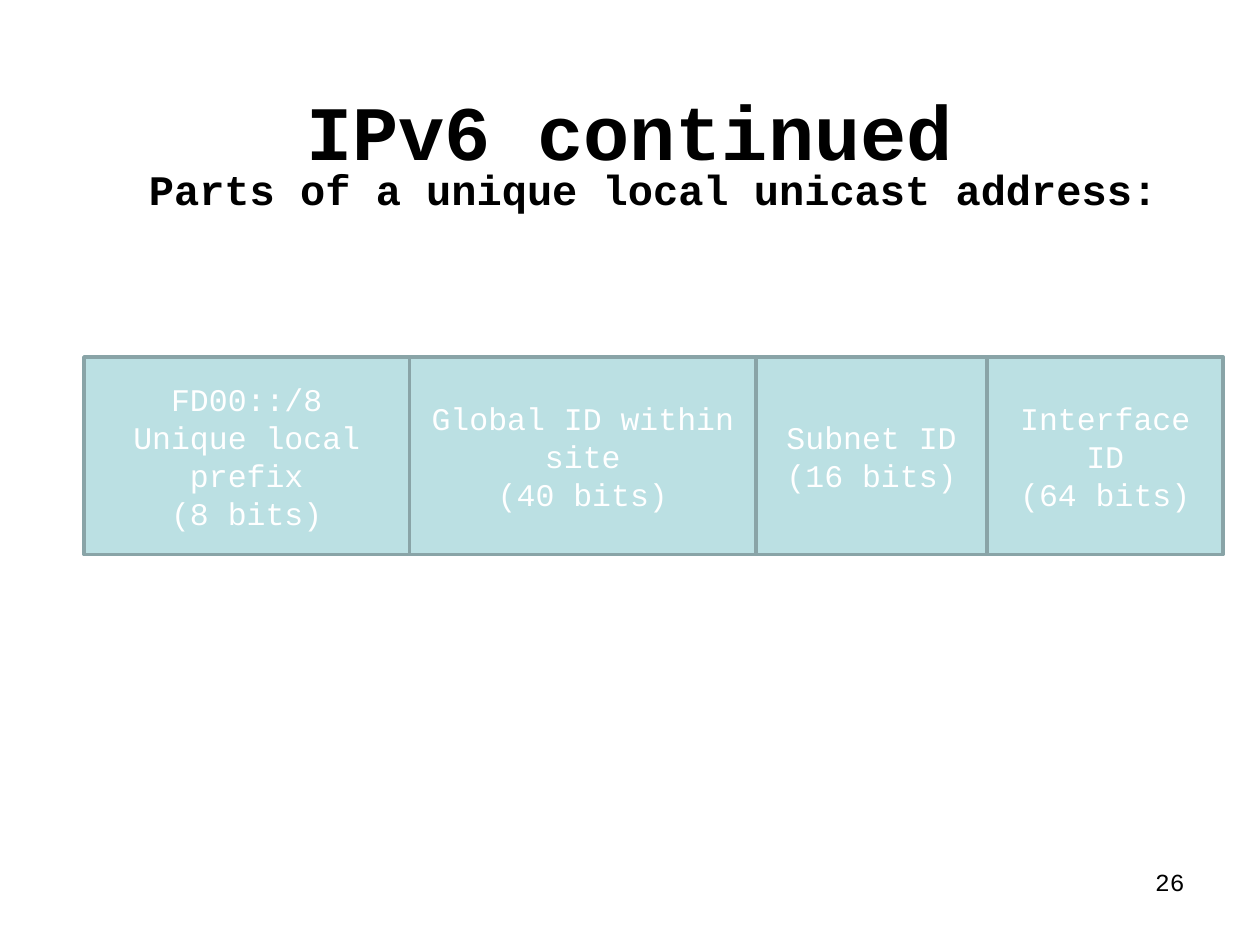
from dataclasses import dataclass

from pptx import Presentation
from pptx.dml.color import RGBColor
from pptx.enum.shapes import MSO_SHAPE
from pptx.enum.text import MSO_ANCHOR, PP_ALIGN
from pptx.util import Inches, Pt

RECTANGLE = MSO_SHAPE.RECTANGLE
MIDDLE, TOP = MSO_ANCHOR.MIDDLE, MSO_ANCHOR.TOP
LEFT, CENTER, RIGHT = PP_ALIGN.LEFT, PP_ALIGN.CENTER, PP_ALIGN.RIGHT
COLUMNS, ROWS = 120, 90  # grid cells of 1/12 inch


@dataclass(frozen=True)
class Theme:
    font: str = "Courier New"
    ink: RGBColor = RGBColor(0x00, 0x00, 0x00)
    field_text: RGBColor = RGBColor(0xFF, 0xFF, 0xFF)
    field_fill: RGBColor = RGBColor(0xBB, 0xE0, 0xE3)
    field_line: RGBColor = RGBColor(0x89, 0xA4, 0xA7)
    line_width: int = 2
    title_size: int = 44
    subtitle_size: int = 24
    field_size: int = 18
    number_size: int = 14


class PageBuilder:
    def __init__(self, deck, theme):
        self.deck = deck
        self.theme = theme
        self.page = deck.slides.add_slide(deck.slide_layouts[6])

    def place(self, column, row, columns, rows):
        """Turn grid cells into left, top, width and height."""
        cell_width = self.deck.slide_width / COLUMNS
        cell_height = self.deck.slide_height / ROWS
        return (round(column * cell_width), round(row * cell_height),
                round(columns * cell_width), round(rows * cell_height))

    def set_text(self, box, text, size, color, align, anchor, bold=False):
        frame = box.text_frame
        frame.word_wrap = True
        frame.vertical_anchor = anchor
        frame.text = text
        for para in frame.paragraphs:
            para.alignment = align
            for span in para.runs:
                span.font.name = self.theme.font
                span.font.size = Pt(size)
                span.font.bold = bold
                span.font.color.rgb = color
        return frame

    def text(self, area, text, size, align=LEFT, anchor=TOP, bold=False):
        box = self.page.shapes.add_textbox(*self.place(*area))
        return self.set_text(box, text, size, self.theme.ink, align, anchor,
                             bold)

    def field(self, area, text):
        box = self.page.shapes.add_shape(RECTANGLE, *self.place(*area))
        box.shadow.inherit = False
        box.fill.solid()
        box.fill.fore_color.rgb = self.theme.field_fill
        box.line.color.rgb = self.theme.field_line
        box.line.width = Pt(self.theme.line_width)
        self.set_text(box, text, self.theme.field_size, self.theme.field_text,
                      CENTER, MIDDLE)


def main():
    deck = Presentation()
    deck.slide_width, deck.slide_height = Inches(10), Inches(7.5)
    theme = Theme()
    builder = PageBuilder(deck, theme)

    # Page number
    builder.text((86, 82, 28, 6.25), "26", theme.number_size, RIGHT)

    # Headings
    title = builder.text((6, 3.6, 108, 15), "IPv6 continued",
                         theme.title_size, CENTER, MIDDLE, bold=True)
    title.margin_top = Inches(0.25)
    subtitle = builder.text((13, 15, 103, 13),
                            "Parts of a unique local unicast address:",
                            theme.subtitle_size, bold=True)
    subtitle.paragraphs[0].space_before = Pt(6)

    # Address fields, side by side: width in columns and text
    fields = [
        (31, "FD00::/8\nUnique local prefix\n(8 bits)"),
        (33, "Global ID within site\n(40 bits)"),
        (22, "Subnet ID\n(16 bits)"),
        (22.5, "Interface ID\n(64 bits)"),
    ]
    column = 8
    for width, text in fields:
        builder.field((column, 34, width, 18.8), text)
        column += width

    deck.save("out.pptx")


if __name__ == "__main__":
    main()
